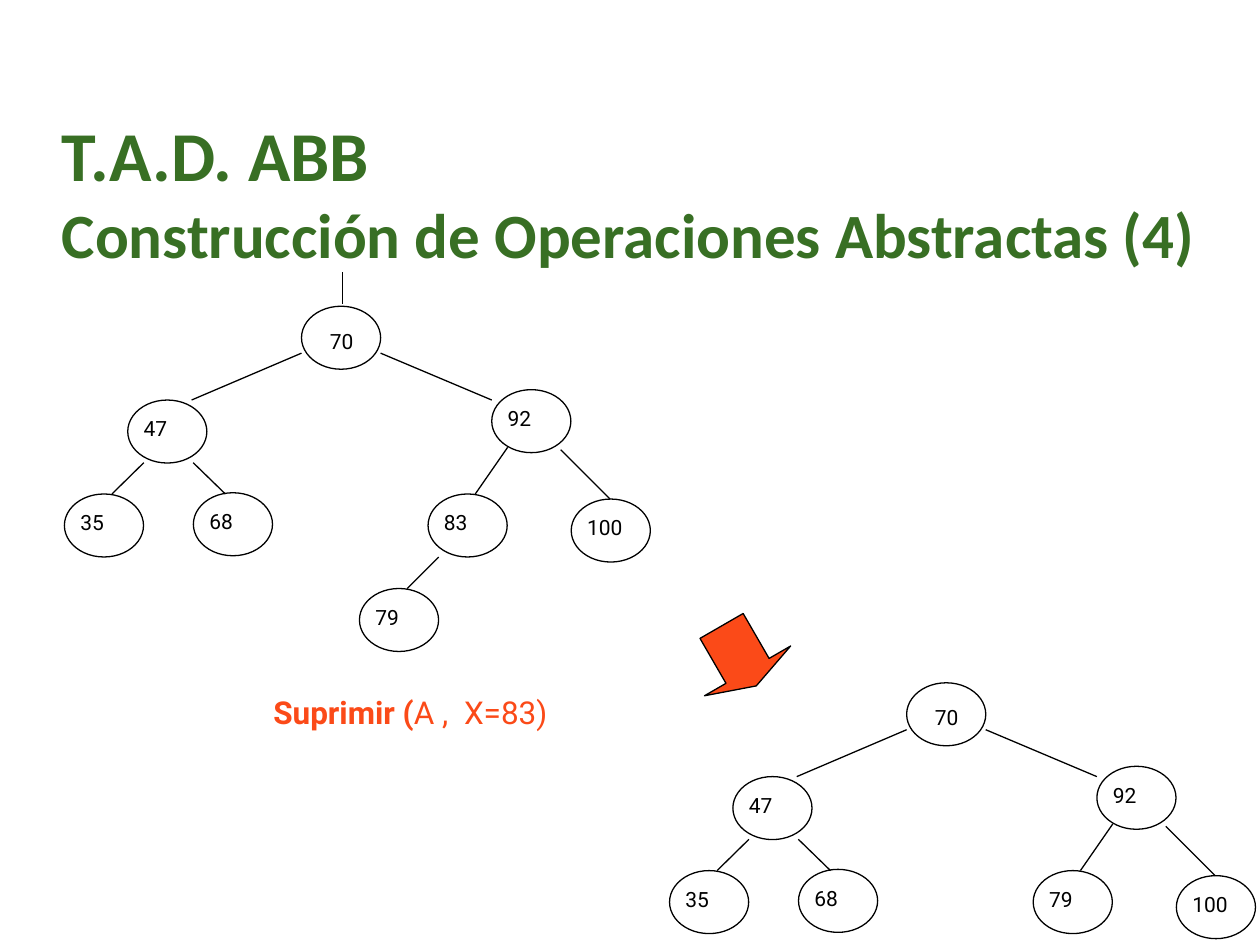
from lxml import etree
from pptx import Presentation
from pptx.dml.color import RGBColor
from pptx.enum import shapes as kinds, text as txt
from pptx.oxml.ns import qn
from pptx.util import Pt

GREEN = RGBColor(0x38, 0x6F, 0x24)
RED = RGBColor(0xFB, 0x4A, 0x18)
BLACK = RGBColor(0, 0, 0)

TITLE = [("T.A.D. ABB", 40), ("Construcción de Operaciones Abstractas (4)", 36)]
CALL = [("Suprimir (", True), ("A ,  X=83)", False)]

SPOTS = {
    "root": (135.5, 0), "left": (36.2, 53.6), "right": (244.2, 47.7),
    "ll": (0, 107.3), "lr": (73.7, 106.6),
    "rl": (207.8, 107.3), "rr": (289.6, 110.2), "rll": (168.6, 161.3),
}
EDGES = {
    "left": (135.5, 26.8, 72.7, 53.6), "right": (180.7, 26.8, 244.2, 53.6),
    "ll": (45.4, 89.4, 27.2, 107.3), "lr": (73.6, 89.4, 92, 107.3),
    "rl": (253.3, 80.6, 207.8 + 27, 107.3), "rr": (283.6, 82, 311.8, 110.2),
    "rll": (213.9, 143.3, 195.9, 161.3),
}
BASE = {"root": "70", "left": "47", "right": "92", "ll": "35", "lr": "68", "rr": "100"}
TREES = [
    ((36.8, 175), BASE | {"rl": "83", "rll": "79"}),
    ((382.6, 390.2), BASE | {"rl": "79"}),
]
NODE = (45.2, 36)
LABEL = (27.4, 18)
INSET = (7.2, 3.6)


def put(obj, **vals):
    for key, val in vals.items():
        setattr(obj, key, val)


def frame(box, x=0, y=0, **vals):
    put(box.text_frame, word_wrap=True, margin_left=Pt(x), margin_right=Pt(x),
        margin_top=Pt(y), margin_bottom=Pt(y), **vals)
    return box.text_frame.paragraphs[0]


def write(par, words, size, face, color, bold=False):
    run = par.add_run()
    run.text = words
    put(run.font, size=Pt(size), name=face, bold=bold)
    run.font.color.rgb = color


def ink(item):
    item.line.color.rgb = BLACK
    item.line.width = Pt(0.75)


def draw(host, kind, box, fill=None):
    item = host.add_shape(kind, *map(Pt, box))
    item.shadow.inherit = False
    if fill is None:
        item.fill.background()
    else:
        item.fill.solid()
        item.fill.fore_color.rgb = fill
    ink(item)
    return item


def join(host, ends):
    line = host.add_connector(kinds.MSO_CONNECTOR.STRAIGHT, *map(Pt, ends))
    ink(line)
    etree.SubElement(line._element.spPr, qn("a:effectLst"))


def tree(host, start, keys):
    left, top = start
    for name, key in keys.items():
        x, y = left + SPOTS[name][0], top + SPOTS[name][1]
        draw(host, kinds.MSO_SHAPE.OVAL, (x, y, *NODE))
        wide, high = LABEL
        pad = INSET if name == "root" else (0, 0)
        if name == "root":
            wide += 5.7
        box = host.add_textbox(*map(Pt, (x + 9.1, y + 9, wide, high)))
        write(frame(box, *pad), key, 12, "Roboto", BLACK)
    for name in keys:
        if name in EDGES:
            x1, y1, x2, y2 = EDGES[name]
            join(host, (left + x1, top + y1, left + x2, top + y2))


def main():
    deck = Presentation()
    put(deck, slide_width=Pt(720), slide_height=Pt(540))
    slide = deck.slides.add_slide(deck.slide_layouts[5])
    host = slide.shapes

    title = host.title
    put(title, left=Pt(35.3), top=Pt(61.2), width=Pt(662.4), height=Pt(95.8))
    par = frame(title, vertical_anchor=txt.MSO_ANCHOR.MIDDLE,
                auto_size=txt.MSO_AUTO_SIZE.SHAPE_TO_FIT_TEXT)
    par.alignment = txt.PP_ALIGN.LEFT
    for row, (words, size) in enumerate(TITLE):
        if row:
            par.add_line_break()
        write(par, words, size, "Calibri", GREEN, True)

    call = host.add_textbox(*map(Pt, (156.2, 396, 187.2, 21.6)))
    par = frame(call, auto_size=txt.MSO_AUTO_SIZE.SHAPE_TO_FIT_TEXT)
    par.space_before = Pt(11.2)
    for words, bold in CALL:
        write(par, words, 18, "Roboto", RED, bold)

    join(host, (195.8, 173.5, 195.8, 155.5))
    for start, keys in TREES:
        tree(host.add_group_shape().shapes, start, keys)

    arrow = draw(host, kinds.MSO_SHAPE.DOWN_ARROW, (393.8, 355, 56.9, 39.6), RED)
    arrow.rotation = 330
    arrow.adjustments[0], arrow.adjustments[1] = 0.5, 0.25

    deck.save("out.pptx")


if __name__ == "__main__":
    main()
